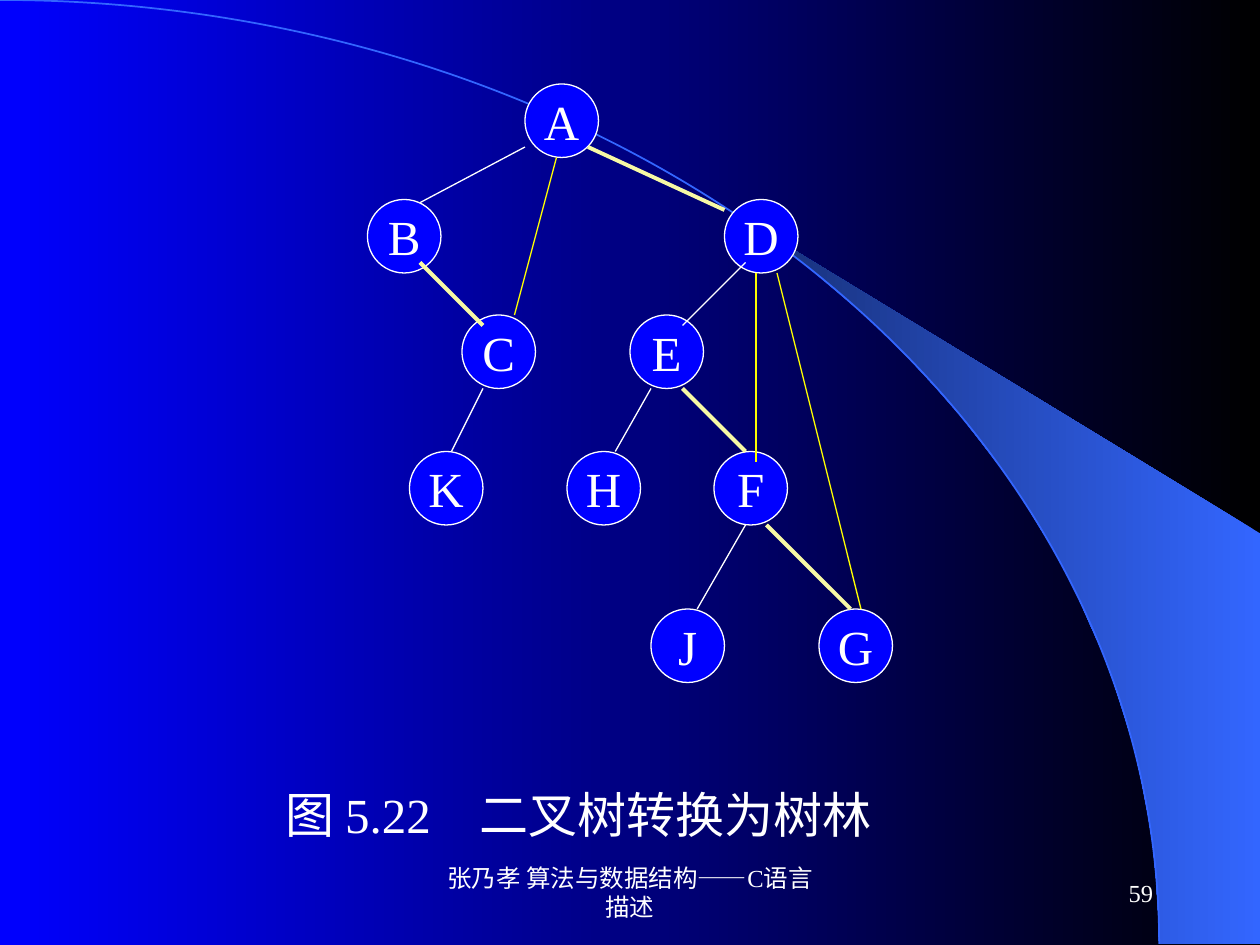
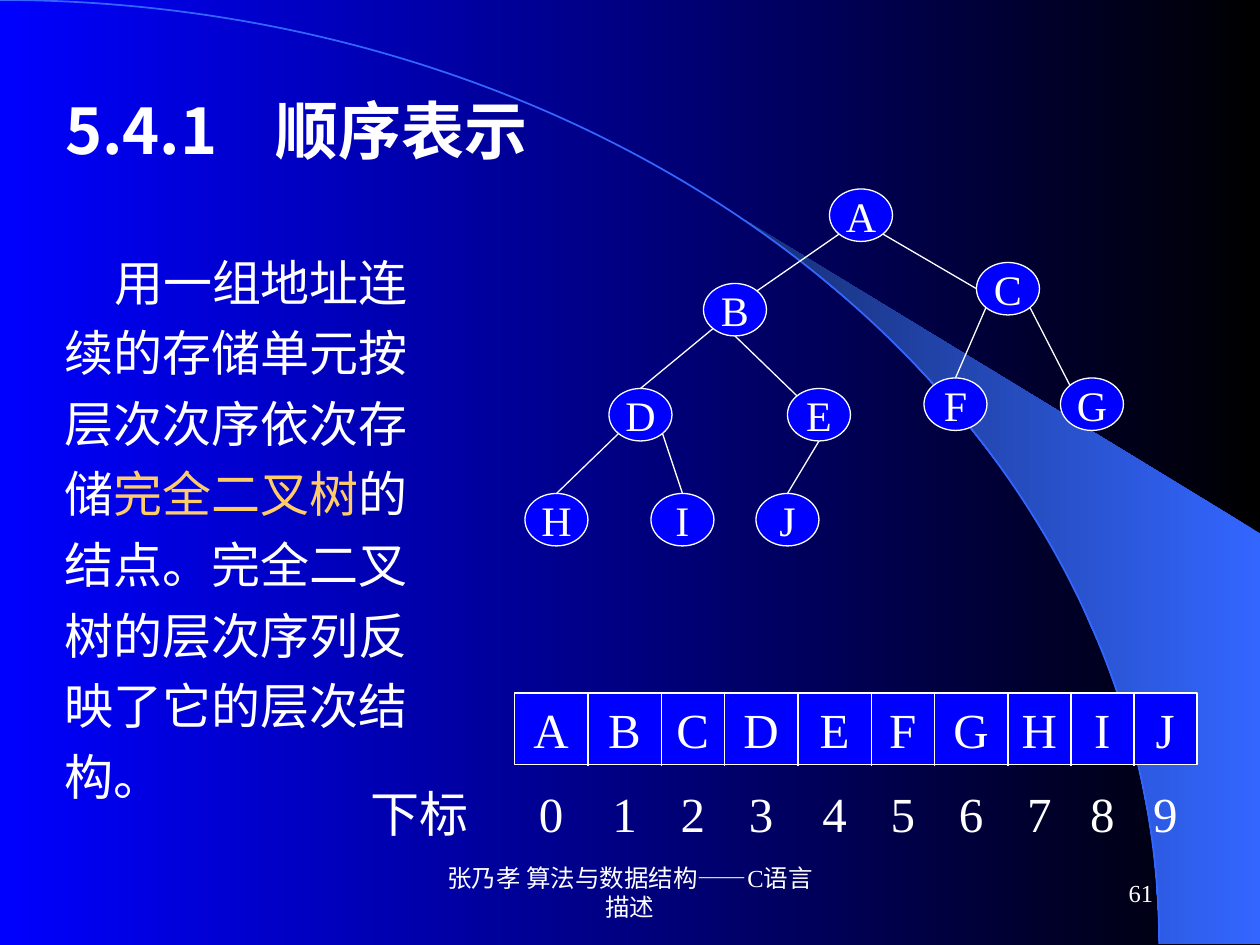
from dataclasses import dataclass
from itertools import pairwise
from math import cos, radians, sin

from lxml import etree
from pptx import Presentation
from pptx import util as u
from pptx.dml.color import RGBColor
from pptx.enum import shapes, text
from pptx.oxml.ns import qn

PX = u.Inches(1) // 120
WIDE, HIGH = 1200, 900
ARC_W, ARC_H = 1104, 899
LEFT, MID, RIGHT = text.PP_ALIGN.LEFT, text.PP_ALIGN.CENTER, text.PP_ALIGN.RIGHT
TOP, MIDDLE = text.MSO_ANCHOR.TOP, text.MSO_ANCHOR.MIDDLE
COMPASS = {"n": 270, "ne": 315, "se": 45, "s": 90, "sw": 135, "w": 180, "nw": 225}
CREDIT = "张乃孝 算法与数据结构——C语言描述"


@dataclass(frozen=True)
class Theme:
    latin: str = "Times New Roman"
    asian: str = "Noto Sans CJK SC"
    ink: str = "FFFFFF"
    night: str = "000000"
    blue: str = "0000FF"
    sweep: str = "3366FF"
    dusk: str = "172F75"
    gold: str = "FFCC66"
    yellow: str = "FFFF00"
    cream: str = "F7F9A5"
    head: int = 36
    body: int = 28
    node: int = 24
    foot: int = 14
    thin: float = 0.75
    bold: float = 2.25


def rgb(code):
    return RGBColor.from_string(code)


def blend(fill, first, last):
    """Fill with a gradient that runs from right to left."""
    fill.gradient()
    fill.gradient_angle = 180
    for stop, code, at in zip(fill.gradient_stops, (first, last), (0, 1)):
        stop.color.rgb = rgb(code)
        stop.position = at


def site(box, way):
    """Point on an oval's rim in a compass direction."""
    x, y, w, h = box
    turn = radians(COMPASS[way])
    return round(x + w / 2 * (1 + cos(turn))), round(y + h / 2 * (1 + sin(turn)))


class Deck:
    """Holds the theme, the presentation and the slide being drawn."""

    def __init__(self, theme):
        self.theme = theme
        self.prs = Presentation()
        self.prs.slide_width, self.prs.slide_height = WIDE * PX, HIGH * PX
        self.slide = None

    def start(self, layout):
        self.slide = self.prs.slides.add_slide(self.prs.slide_layouts[layout])

    def scene(self):
        """Draw the backdrop and hand it to the master, shared by all slides."""
        th = self.theme
        master = self.prs.slide_master
        blend(master.background.fill, th.night, th.blue)
        curve = [(ARC_W * sin(radians(a)), ARC_H * (1 - cos(radians(a))))
                 for a in range(40, 91, 2)]
        pen = self.slide.shapes.build_freeform(WIDE, ARC_H, scale=PX)
        pen.add_line_segments([(WIDE, 508)] + curve)
        wedge = pen.convert_to_shape()
        blend(wedge.fill, th.sweep, th.dusk)
        wedge.line.fill.background()
        arc = self.shape(shapes.MSO_SHAPE.ARC, (-ARC_W, 0, 2 * ARC_W, 2 * ARC_H))
        arc.fill.background()
        arc.line.color.rgb = rgb(th.sweep)
        arc.line.width = u.Pt(1)
        for part in (wedge, arc):
            part.shadow.inherit = False
            master.shapes.element.append(part.element)

    def style(self, frame, size, align=LEFT, anchor=TOP, bold=False,
              latin=None, space=1.0):
        th = self.theme
        frame.vertical_anchor = anchor
        for par in frame.paragraphs:
            par.alignment = align
            par.line_spacing = space
            for run in par.runs:
                font = run.font
                font.size, font.bold = u.Pt(size), bold
                font.color.rgb = rgb(th.ink)
                font.name = latin or th.latin
                asian = etree.SubElement(font._element, qn("a:ea"))
                asian.set("typeface", th.asian)

    def tabs(self, frame, stops, align="ctr"):
        """Set tab stops, in px from the left of the text."""
        props = frame.paragraphs[0]._p.get_or_add_pPr()
        group = etree.SubElement(props, qn("a:tabLst"))
        for stop in stops:
            tab = etree.SubElement(group, qn("a:tab"))
            tab.set("pos", str(round(stop * PX)))
            tab.set("algn", align)

    def shape(self, kind, box):
        th = self.theme
        item = self.slide.shapes.add_shape(kind, *(v * PX for v in box))
        item.shadow.inherit = False
        item.fill.solid()
        item.fill.fore_color.rgb = rgb(th.blue)
        item.line.color.rgb = rgb(th.ink)
        item.line.width = u.Pt(th.thin)
        return item

    def label(self, words, box, size, **look):
        item = self.slide.shapes.add_textbox(*(v * PX for v in box))
        frame = item.text_frame
        frame.word_wrap = True
        frame.text = words
        self.style(frame, size, **look)
        return frame

    def title(self, words, box, tab):
        item = self.slide.shapes.title
        item.left, item.top, item.width, item.height = (v * PX for v in box)
        frame = item.text_frame
        frame.text = words
        frame.auto_size = text.MSO_AUTO_SIZE.NONE
        self.style(frame, self.theme.head, anchor=MIDDLE, bold=True,
                   latin=self.theme.asian, space=1.1)
        self.tabs(frame, [tab], "l")

    def node(self, name, box, size):
        frame = self.shape(shapes.MSO_SHAPE.OVAL, box).text_frame
        frame.word_wrap = False
        frame.text = name
        self.style(frame, size, MID, MIDDLE)

    def line(self, start, end, color=None, width=None):
        ends = (v * PX for v in (*start, *end))
        item = self.slide.shapes.add_connector(shapes.MSO_CONNECTOR.STRAIGHT, *ends)
        item.line.color.rgb = rgb(color or self.theme.ink)
        item.line.width = u.Pt(width or self.theme.thin)
        etree.SubElement(item._element.spPr, qn("a:effectLst"))

    def row(self, frame, words, mids, left):
        """Write words on one line, each centred on its own x."""
        frame.text = "".join("\t" + word for word in words)
        self.style(frame, self.theme.body)
        self.tabs(frame, [mid - left - 12 for mid in mids])

    def footer(self, page):
        size = self.theme.foot
        frame = self.label(CREDIT, (410, 820, 380, 60), size, align=MID, anchor=MIDDLE)
        frame.margin_left = frame.margin_right = 14 * PX
        self.label(str(page), (860, 820, 250, 60), size, align=RIGHT, anchor=MIDDLE)


def forest(deck):
    th = deck.theme
    spots = {"A": (500, 80), "B": (350, 190), "D": (690, 190), "C": (440, 300),
             "E": (600, 300), "K": (390, 430), "H": (540, 430), "F": (680, 430),
             "J": (620, 580), "G": (780, 580)}
    for name, spot in spots.items():
        deck.node(name, (*spot, 70, 70), th.body)

    kept = [((500, 140), (400, 193)), ((710, 250), (650, 310)),
            ((460, 370), (430, 430)), ((620, 370), (586, 430)),
            ((710, 500), (664, 580))]
    added = [((490, 300), (530, 150)), ((720, 440), (720, 260)),
             ((820, 580), (740, 260))]
    cut = [((560, 140), (690, 200)), ((400, 250), (460, 310)),
           ((650, 370), (710, 430)), ((730, 500), (810, 580))]
    for edges, color, width in ((kept, th.ink, th.thin), (added, th.yellow, th.thin),
                                (cut, th.cream, th.bold)):
        for start, end in edges:
            deck.line(start, end, color, width)

    frame = deck.label("图 5.22\t二叉树转换为树林", (260, 741, 660, 68), th.body)
    deck.tabs(frame, [185], "l")
    deck.footer(59)


def store(deck):
    th = deck.theme
    deck.title("5.4.1\t顺序表示", (50, 50, 610, 140), 200)

    frame = deck.label("", (50, 223, 370, 550), th.body)
    par = frame.paragraphs[0]
    for words in ("用一组地址连续的存储单元按层次次序依次存储", "完全二叉树",
                  "的结点。完全二叉树的层次序列反映了它的层次结构。"):
        par.add_run().text = words
    deck.style(frame, th.body, space=1.2)
    par.runs[1].font.color.rgb = rgb(th.gold)
    par._p.get_or_add_pPr().set("indent", str(47 * PX))

    spots = {"A": (790, 180), "B": (670, 270), "C": (930, 250), "D": (580, 370),
             "E": (750, 370), "F": (880, 360), "G": (1010, 360), "H": (500, 470),
             "I": (620, 470), "J": (720, 470)}
    nodes = {name: (*spot, 60, 50) for name, spot in spots.items()}
    for name, box in nodes.items():
        deck.node(name, box, th.node)
    for edge in ("A sw B ne", "A se C w", "B sw D n", "B s E nw", "D sw H n",
                 "D se I n", "E s J n", "C sw F n", "C se G nw"):
        top, out, low, into = edge.split()
        deck.line(site(nodes[top], out), site(nodes[low], into))

    walls = [490, 560, 630, 690, 760, 830, 890, 960, 1020, 1080, 1140]
    mids = [(a + b) / 2 for a, b in pairwise(walls)]
    strip = deck.shape(shapes.MSO_SHAPE.RECTANGLE, (490, 660, 650, 68))
    deck.row(strip.text_frame, nodes, mids, 490)
    for x in walls[1:-1]:
        deck.line((x, 660), (x, 730))
    frame = deck.label("", (300, 740, 850, 125), th.body)
    deck.row(frame, ["下标", *map(str, range(10))], [400, *mids], 300)
    deck.footer(61)


def main():
    deck = Deck(Theme())
    deck.start(6)
    deck.scene()
    forest(deck)
    deck.start(5)
    store(deck)
    deck.prs.save("out.pptx")


if __name__ == "__main__":
    main()
